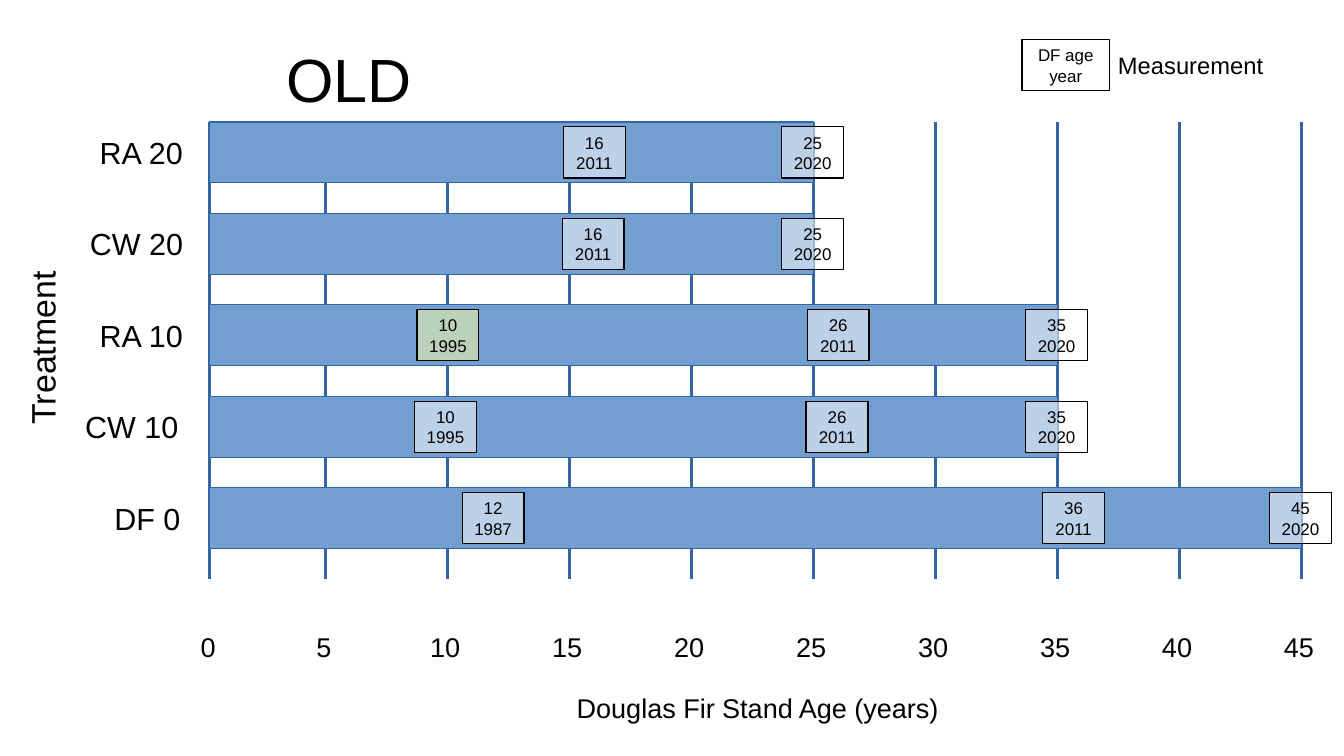
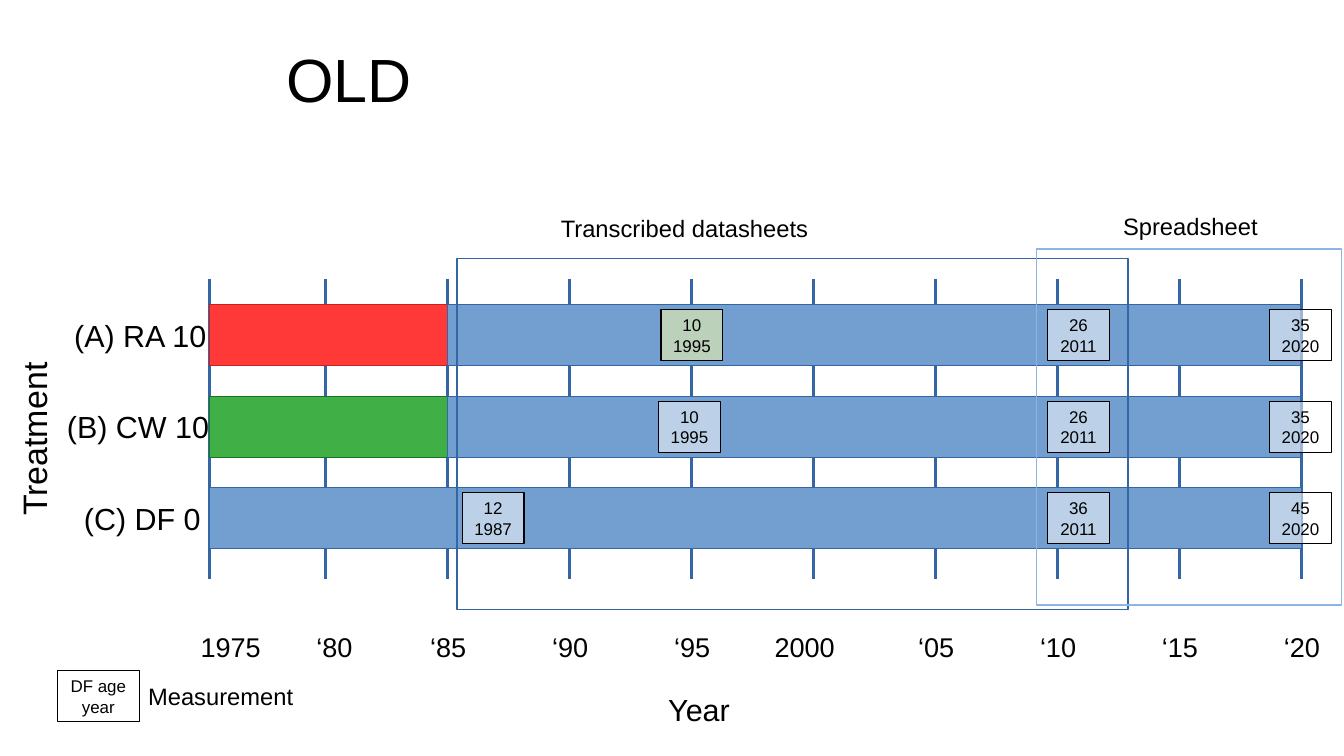
from lxml import etree
from pptx import Presentation
from pptx.dml.color import RGBColor
from pptx.enum import shapes, text
from pptx.oxml import ns
from pptx.util import Pt

INK = {
    "black": "000000", "white": "FFFFFF", "blue": "729FCF", "navy": "3465A4",
    "sky": "8EB4E3", "red": "FF3838", "wine": "C9211E", "green": "3FAF46",
    "pine": "127622", "cream": "FFFFA6",
}
FONT = "Arial"
BASE, STEP = 123.8, 14.4       # left edge of the axis, points per year
TOP, PITCH, THICK = 72, 54, 36  # first bar, row distance, bar height
FOOT = 342


def rgb(name):
    return RGBColor.from_string(INK[name])


def pos(age):
    """The first interval of the axis is slightly narrower than the others."""
    return BASE if age == 0 else 192.2 + (age - 5) * STEP


def row_top(row):
    return TOP + row * PITCH


def write(frame, words, size, align=text.PP_ALIGN.LEFT,
          anchor=text.MSO_ANCHOR.TOP):
    frame.word_wrap = True
    frame.vertical_anchor = anchor
    for n, line in enumerate(words.split("\n")):
        para = frame.paragraphs[0] if n == 0 else frame.add_paragraph()
        para.text = line
        para.alignment = align
        para.font.size = Pt(size)
        para.font.name = FONT
        para.font.color.rgb = rgb("black")


def label(slide, words, x, y, w=110, h=27, size=18, turn=0):
    box = slide.shapes.add_textbox(Pt(x), Pt(y), Pt(w), Pt(h))
    box.rotation = turn
    write(box.text_frame, words, size)


def rect(slide, x, y, w, h, fill, line, width=0, alpha=None):
    box = slide.shapes.add_shape(shapes.MSO_SHAPE.RECTANGLE,
                                 Pt(x), Pt(y), Pt(w), Pt(h))
    box.shadow.inherit = False
    if fill:
        box.fill.solid()
        box.fill.fore_color.rgb = rgb(fill)
    else:
        box.fill.background()
    if alpha:
        color = box.fill._xPr.find(".//" + ns.qn("a:srgbClr"))
        etree.SubElement(color, ns.qn("a:alpha"), val=str(alpha * 1000))
    box.line.color.rgb = rgb(line)
    box.line.width = Pt(width)
    return box


def note(slide, words, x, y, w=36.5, fill="white"):
    """Small translucent box with an age above a year."""
    box = rect(slide, x, y, w, 30.2, fill, "black", alpha=53)
    write(box.text_frame, words, 10, text.PP_ALIGN.CENTER,
          text.MSO_ANCHOR.MIDDLE)


def mark(slide, row, age, words, fill="white"):
    note(slide, words, pos(age) - 18.7, row_top(row) + 2.9, fill=fill)


def bar(slide, row, start, end, fill="blue", line="navy"):
    rect(slide, pos(start), row_top(row), pos(end) - pos(start), THICK,
         fill, line)


def grid(slide, top):
    for age in range(0, 50, 5):
        x = Pt(pos(age))
        rule = slide.shapes.add_connector(shapes.MSO_CONNECTOR.STRAIGHT,
                                          x, Pt(top), x, Pt(FOOT))
        rule.line.color.rgb = rgb("navy")
        rule.line.width = Pt(0)
        etree.SubElement(rule._element.spPr, ns.qn("a:effectLst"))


def ticks(slide, words):
    for n, word in enumerate(words):
        shift = 12.5 if n < 2 else 30 if word == "2000" else 17.3
        label(slide, word, pos(n * 5) - shift, 368.6, w=54, size=16)


def key(slide, x, y, w):
    note(slide, "DF age\nyear", x, y, w=w)
    label(slide, "Measurement", x + w - 2, y + 3, size=14)


def chart(deck, top, names, years, bars, marks):
    """Title, grid, axis labels, bars and measurements."""
    slide = deck.slides.add_slide(deck.slide_layouts[6])
    label(slide, "OLD", 162, 21, w=90, h=51, size=36)
    grid(slide, top)
    ticks(slide, years)
    for row, x, name in names:
        label(slide, name, x, row_top(row) + 3.5)
    for spec in bars:
        bar(slide, *spec)
    for spec in marks:
        mark(slide, *spec)
    return slide


def by_age(deck):
    slide = chart(
        deck, TOP,
        [(0, 51.8, "RA 20"), (1, 46, "CW 20"), (2, 51.8, "RA 10"),
         (3, 43.2, "CW 10"), (4, 60.5, "DF 0")],
        [str(age) for age in range(0, 50, 5)],
        [(row, 0, end) for row, end in enumerate((25, 25, 35, 35, 45))],
        [(0, 16.05, "16\n2011"), (0, 25, "25\n2020"),
         (1, 16, "16\n2011"), (1, 25, "25\n2020"),
         (2, 10.05, "10\n1995", "cream"), (2, 26.05, "26\n2011"),
         (2, 35, "35\n2020"),
         (3, 9.95, "10\n1995"), (3, 26, "26\n2011"), (3, 35, "35\n2020"),
         (4, 11.9, "12\n1987"), (4, 35.7, "36\n2011"), (4, 45, "45\n2020")])
    label(slide, "Douglas Fir Stand Age (years)", 333.4, 404.6, w=255, size=16)
    label(slide, "Treatment", -31, 188, h=29.5, size=20, turn=270)
    key(slide, 603.4, 23.5, 51.5)


def by_year(deck):
    slide = chart(
        deck, 165,
        [(2, 36.7, "(A) RA 10"), (3, 32.4, "(B) CW 10"), (4, 42.5, "(C) DF 0")],
        ["1975", "‘80", "‘85", "‘90", "‘95", "2000", "‘05", "‘10", "‘15", "‘20"],
        [(2, 0, 10, "red", "wine"), (3, 0, 10, "green", "pine"),
         (2, 10, 45), (3, 10, 45), (4, 0, 45)],
        [(2, 20.05, "10\n1995", "cream"), (2, 35.9, "26\n2011"),
         (2, 45, "35\n2020"),
         (3, 19.95, "10\n1995"), (3, 35.9, "26\n2011"), (3, 45, "35\n2020"),
         (4, 11.9, "12\n1987"), (4, 35.9, "36\n2011"), (4, 45, "45\n2020")])
    label(slide, "Year", 387.4, 404.6, w=63)
    label(slide, "Treatment", -36, 242, h=29.5, size=20, turn=270)
    key(slide, 33.8, 396, 48.5)
    rect(slide, 270, 152.6, 396, 207.4, None, "navy", width=1)
    rect(slide, 612, 146.9, 180, 210.2, None, "sky", width=1)
    label(slide, "Transcribed datasheets", 324, 122.4, w=180, size=14)
    label(slide, "Spreadsheet", 655.9, 121.7, size=14)


def main():
    deck = Presentation()
    deck.slide_width, deck.slide_height = Pt(793.44), Pt(446.4)
    by_age(deck)
    by_year(deck)
    deck.save("out.pptx")


if __name__ == "__main__":
    main()
